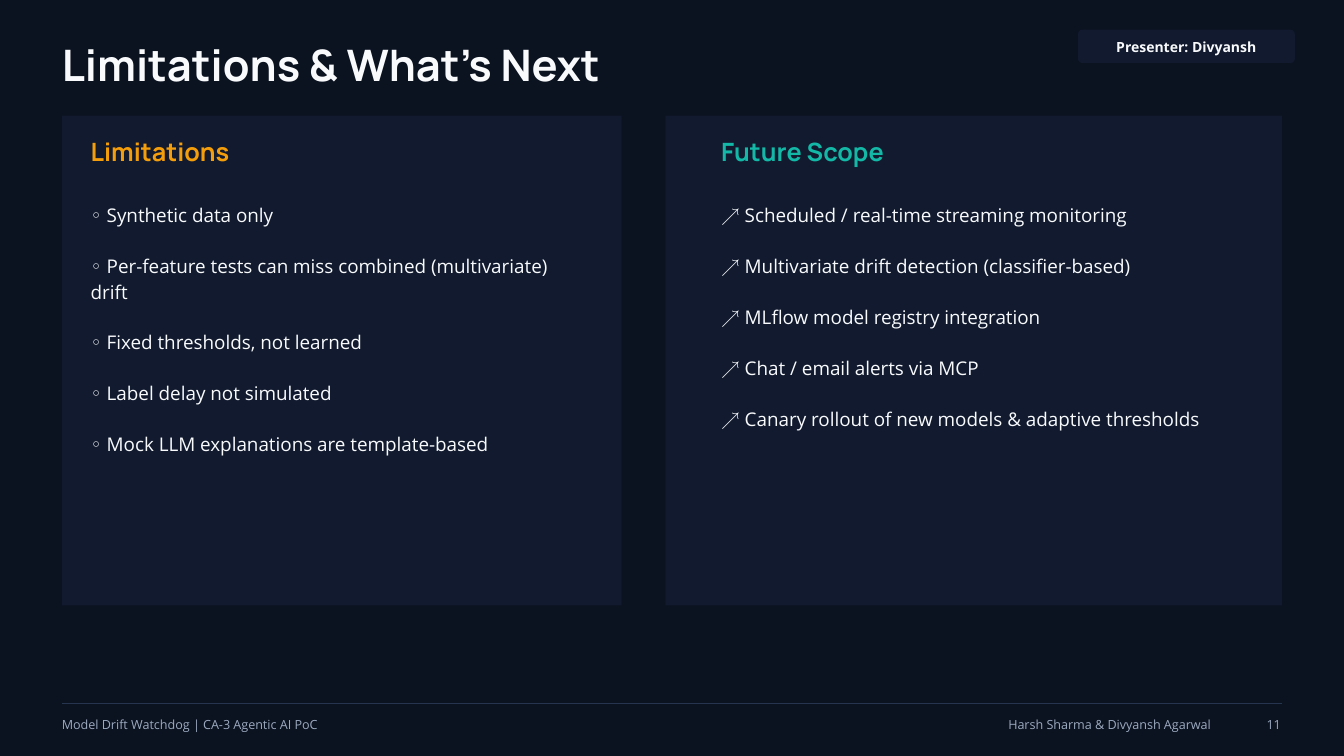
"""Build the Limitations and What's Next slide."""
from lxml import etree
from pptx import Presentation
from pptx.dml.color import RGBColor
from pptx.enum.shapes import MSO_CONNECTOR, MSO_SHAPE
from pptx.enum.text import MSO_ANCHOR, PP_ALIGN
from pptx.oxml.ns import qn
from pptx.util import Inches, Pt

NAVY = RGBColor(0x0B, 0x12, 0x20)
PANEL = RGBColor(0x11, 0x1A, 0x2E)
WHITE = RGBColor(0xF8, 0xFA, 0xFC)
AMBER = RGBColor(0xF5, 0x9E, 0x0B)
TEAL = RGBColor(0x14, 0xB8, 0xA6)
GREY = RGBColor(0x9C, 0xAA, 0xC0)
RULE = RGBColor(0x26, 0x34, 0x4F)

LEFT, CENTER, RIGHT = PP_ALIGN.LEFT, PP_ALIGN.CENTER, PP_ALIGN.RIGHT
MIDDLE = MSO_ANCHOR.MIDDLE
RECT, ROUND = MSO_SHAPE.RECTANGLE, MSO_SHAPE.ROUNDED_RECTANGLE
STRAIGHT = MSO_CONNECTOR.STRAIGHT
HEAD, BODY = "Manrope", "Open Sans"

deck = Presentation()
deck.slide_width, deck.slide_height = Inches(20), Inches(11.25)
slide = deck.slides.add_slide(deck.slide_layouts[6])
slide.background.fill.solid()
slide.background.fill.fore_color.rgb = NAVY


def add_box(kind, x, y, w, h):
    box = slide.shapes.add_shape(kind, Inches(x), Inches(y), Inches(w), Inches(h))
    box.shadow.inherit = False
    box.fill.solid()
    box.fill.fore_color.rgb = PANEL
    box.line.fill.background()
    return box


def add_text(x, y, w, h, lines, size, lead, color, face=BODY, bold=False, align=LEFT):
    box = slide.shapes.add_textbox(Inches(x), Inches(y), Inches(w), Inches(h))
    frame = box.text_frame
    frame.word_wrap = True
    frame.margin_left = frame.margin_right = 0
    frame.margin_top = frame.margin_bottom = 0
    frame.text = "\n".join(lines)
    for i, para in enumerate(frame.paragraphs):
        para.alignment = align
        para.line_spacing = Pt(lead)
        if i:
            para.space_before = Pt(lead)
        font = para.runs[0].font
        font.name, font.size, font.bold = face, Pt(size), bold
        font.color.rgb = color


add_text(0.92, 0.66, 13.54, 0.74, ["Limitations & What's Next"],
         46.5, 48.8, WHITE, HEAD, True)

limits = [
    "Synthetic data only",
    "Per-feature tests can miss combined (multivariate) drift",
    "Fixed thresholds, not learned",
    "Label delay not simulated",
    "Mock LLM explanations are template-based",
]
future = [
    "Scheduled / real-time streaming monitoring",
    "Multivariate drift detection (classifier-based)",
    "MLflow model registry integration",
    "Chat / email alerts via MCP",
    "Canary rollout of new models & adaptive thresholds",
]
panels = [
    (0.92, 8.33, 1.35, 7.08, "Limitations", AMBER, "◦", limits),
    (9.9, 9.18, 10.73, 7.29, "Future Scope", TEAL, "↗", future),
]
for x, w, inner, wide, title, color, mark, items in panels:
    add_box(RECT, x, 1.72, w, 7.29)
    add_text(inner, 2.09, 6.25, 0.43, [title], 27, 28.4, color, HEAD, True)
    add_text(inner, 2.99, wide, 3.74, [f"{mark} {item}" for item in items],
             20.2, 27.3, WHITE)

badge = add_box(ROUND, 16.04, 0.44, 3.23, 0.5)
badge.adjustments[0] = 0.14
frame = badge.text_frame
frame.margin_top, frame.margin_bottom = Inches(0.04), Inches(0.08)
frame.vertical_anchor = MIDDLE
frame.text = "Presenter: Divyansh"
para = frame.paragraphs[0]
para.alignment = CENTER
para.line_spacing = Pt(21)
font = para.runs[0].font
font.name, font.size, font.bold = BODY, Pt(15), True
font.color.rgb = WHITE

rule = slide.shapes.add_connector(STRAIGHT, Inches(0.92), Inches(10.46),
                                  Inches(19.08), Inches(10.46))
rule.line.color.rgb = RULE
rule.line.width = Pt(0.75)
etree.SubElement(rule._element.spPr, qn("a:effectLst"))

footer = [
    (0.92, 6.77, "Model Drift Watchdog | CA-3 Agentic AI PoC", LEFT),
    (13.02, 5, "Harsh Sharma & Divyansh Agarwal", RIGHT),
    (18.44, 0.62, "11", RIGHT),
]
for x, w, text, align in footer:
    add_text(x, 10.64, w, 0.25, [text], 13.5, 18.2, GREY, align=align)

deck.save("out.pptx")
